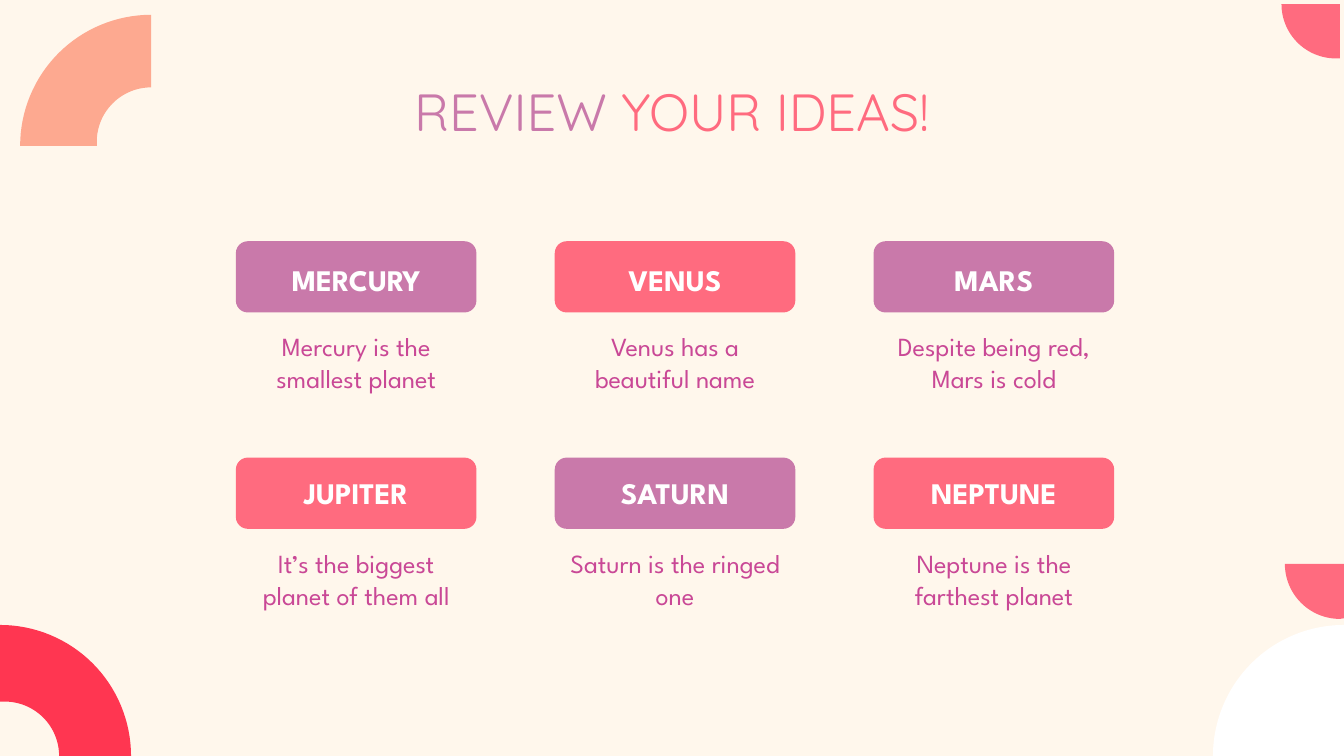
"""Build the planet review slide: a title, six labelled cards and corner arcs."""
from math import cos, radians, sin

from pptx import Presentation
from pptx.dml.color import RGBColor
from pptx.enum.shapes import MSO_SHAPE
from pptx.enum.text import MSO_ANCHOR, MSO_AUTO_SIZE, PP_ALIGN
from pptx.util import Inches, Pt

ROUNDED = MSO_SHAPE.ROUNDED_RECTANGLE
TOP, MIDDLE = MSO_ANCHOR.TOP, MSO_ANCHOR.MIDDLE
CENTER = PP_ALIGN.CENTER
NO_AUTOFIT = MSO_AUTO_SIZE.NONE
TITLE_ONLY = 5

THEME = {
    "cream": "FFF7EC", "white": "FFFFFF", "red": "FF3651", "pink": "FF6B7F",
    "peach": "FDA990", "mauve": "C979AA", "magenta": "C94896",
    "title_font": "Quicksand", "text_font": "League Spartan",
    "title_size": 56, "heading_size": 32, "body_size": 28,
}

TITLE = [[("REVIEW ", "mauve"), ("YOUR IDEAS!", "pink")]]
PLANETS = [
    [("MERCURY", ["Mercury is the smallest planet"]),
     ("VENUS", ["Venus has a", "beautiful name"]),
     ("MARS", ["Despite being red, Mars is cold"])],
    [("JUPITER", ["It’s the biggest planet of them all"]),
     ("SATURN", ["Saturn is the ringed one"]),
     ("NEPTUNE", ["Neptune is the farthest planet"])],
]

ROWS = [{"card": 3.59, "heading": 3.69, "body": 4.72},
        {"card": 6.81, "heading": 6.87, "body": 7.95}]
GRID_LEFT, COLUMN_STEP = 3.51, 4.745
CARD_WIDTH, CARD_HEIGHT = 3.58, 1.06
HEADING_WIDTH, HEADING_HEIGHT = 2.84, 0.94
CARD_CORNER = 0.167
TEXT_INSET = 0.2


def arc(center_x, center_y, radius, start, end, steps=32):
    """Return points along a circle, with angles in degrees clockwise from the right."""
    angles = [radians(start + (end - start) * step / steps) for step in range(steps + 1)]
    return [(center_x + radius * cos(angle), center_y + radius * sin(angle))
            for angle in angles]


CORNERS = [
    ("white", [(20, 11.25)] + arc(20, 11.25, 1.95, 180, 270)),
    ("red", arc(0, 11.25, 1.95, 270, 360) + arc(0.07, 11.25, 0.81, 360, 270) + [(0, 10.44)]),
    ("pink", [(20, 8.39)] + arc(19.94, 8.39, 0.82, 180, 90) + [(20, 9.2)]),
    ("pink", [(19.94, 0.06)] + arc(19.88, 0.06, 0.81, 180, 90) + [(19.94, 0.87)]),
    ("peach", arc(2.25, 2.17, 1.95, 180, 270) + arc(2.25, 2.11, 0.81, 270, 180)
     + [(1.44, 2.17)]),
]


def color(name):
    """Return a theme colour."""
    return RGBColor.from_string(THEME[name])


def paint(shape, fill):
    """Give a shape a flat fill with no outline or shadow."""
    shape.shadow.inherit = False
    shape.fill.solid()
    shape.fill.fore_color.rgb = color(fill)
    shape.line.fill.background()


def write(shape, paragraphs, *, font, size, bold=False, anchor=TOP):
    """Fill a shape with centred paragraphs made of (text, colour) runs."""
    frame = shape.text_frame
    frame.word_wrap = True
    frame.auto_size = NO_AUTOFIT
    frame.vertical_anchor = anchor
    frame.margin_left = frame.margin_right = Inches(TEXT_INSET)
    frame.margin_top = frame.margin_bottom = Inches(TEXT_INSET)
    for index, runs in enumerate(paragraphs):
        paragraph = frame.add_paragraph() if index else frame.paragraphs[0]
        paragraph.alignment = CENTER
        for text, run_color in runs:
            run = paragraph.add_run()
            run.text = text
            run.font.name = THEME[font]
            run.font.size = Pt(THEME[size])
            run.font.bold = bold
            run.font.color.rgb = color(run_color)


def add_corner(slide, fill, points):
    """Draw a closed outline through points given in inches."""
    vertices = [(Inches(x), Inches(y)) for x, y in points]
    builder = slide.shapes.build_freeform(*vertices[0])
    builder.add_line_segments(vertices[1:], close=True)
    paint(builder.convert_to_shape(), fill)


def add_planet(slide, left, row, fill, name, lines):
    """Add one card with its heading and its description."""
    card = slide.shapes.add_shape(ROUNDED, Inches(left), Inches(row["card"]),
                                  Inches(CARD_WIDTH), Inches(CARD_HEIGHT))
    card.adjustments[0] = CARD_CORNER
    paint(card, fill)
    heading_left = left + (CARD_WIDTH - HEADING_WIDTH) / 2
    heading = slide.shapes.add_textbox(Inches(heading_left), Inches(row["heading"]),
                                       Inches(HEADING_WIDTH), Inches(HEADING_HEIGHT))
    write(heading, [[(name, "white")]], font="text_font", size="heading_size", bold=True)
    body = slide.shapes.add_textbox(Inches(left), Inches(row["body"]),
                                    Inches(CARD_WIDTH), Inches(CARD_HEIGHT))
    write(body, [[(line, "magenta")] for line in lines], font="text_font", size="body_size")


def main():
    """Assemble and save the presentation."""
    presentation = Presentation()
    presentation.slide_width, presentation.slide_height = Inches(20), Inches(11.25)
    slide = presentation.slides.add_slide(presentation.slide_layouts[TITLE_ONLY])
    slide.background.fill.solid()
    slide.background.fill.fore_color.rgb = color("cream")

    for fill, points in CORNERS:
        add_corner(slide, fill, points)

    title = slide.shapes.title
    title.left, title.top = Inches(1.57), Inches(0.73)
    title.width, title.height = Inches(16.85), Inches(1.84)
    write(title, TITLE, font="title_font", size="title_size", anchor=MIDDLE)

    for row_index, (row, planets) in enumerate(zip(ROWS, PLANETS)):
        for column, (name, lines) in enumerate(planets):
            fill = "pink" if (row_index + column) % 2 else "mauve"
            add_planet(slide, GRID_LEFT + column * COLUMN_STEP, row, fill, name, lines)

    presentation.save("out.pptx")


if __name__ == "__main__":
    main()
